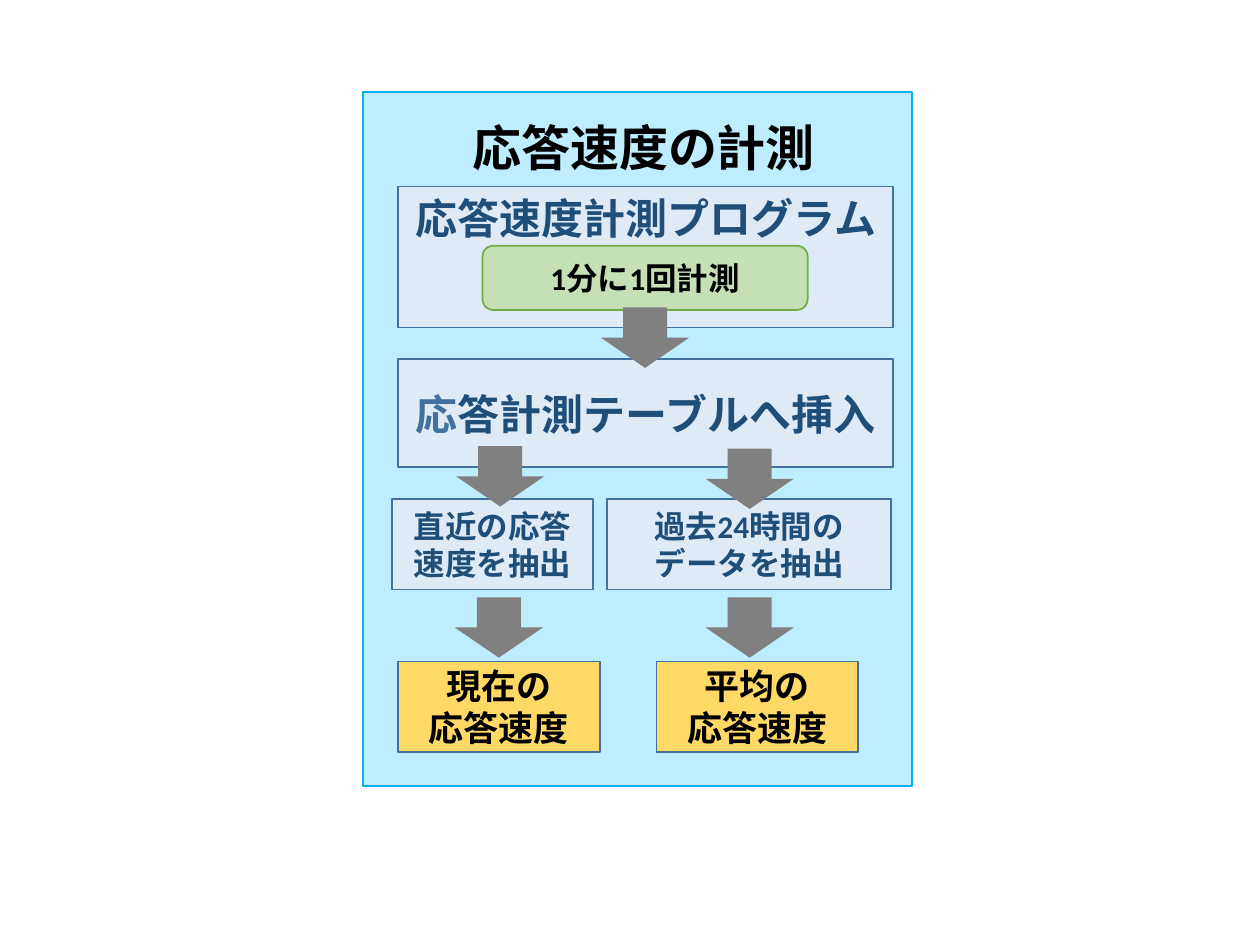
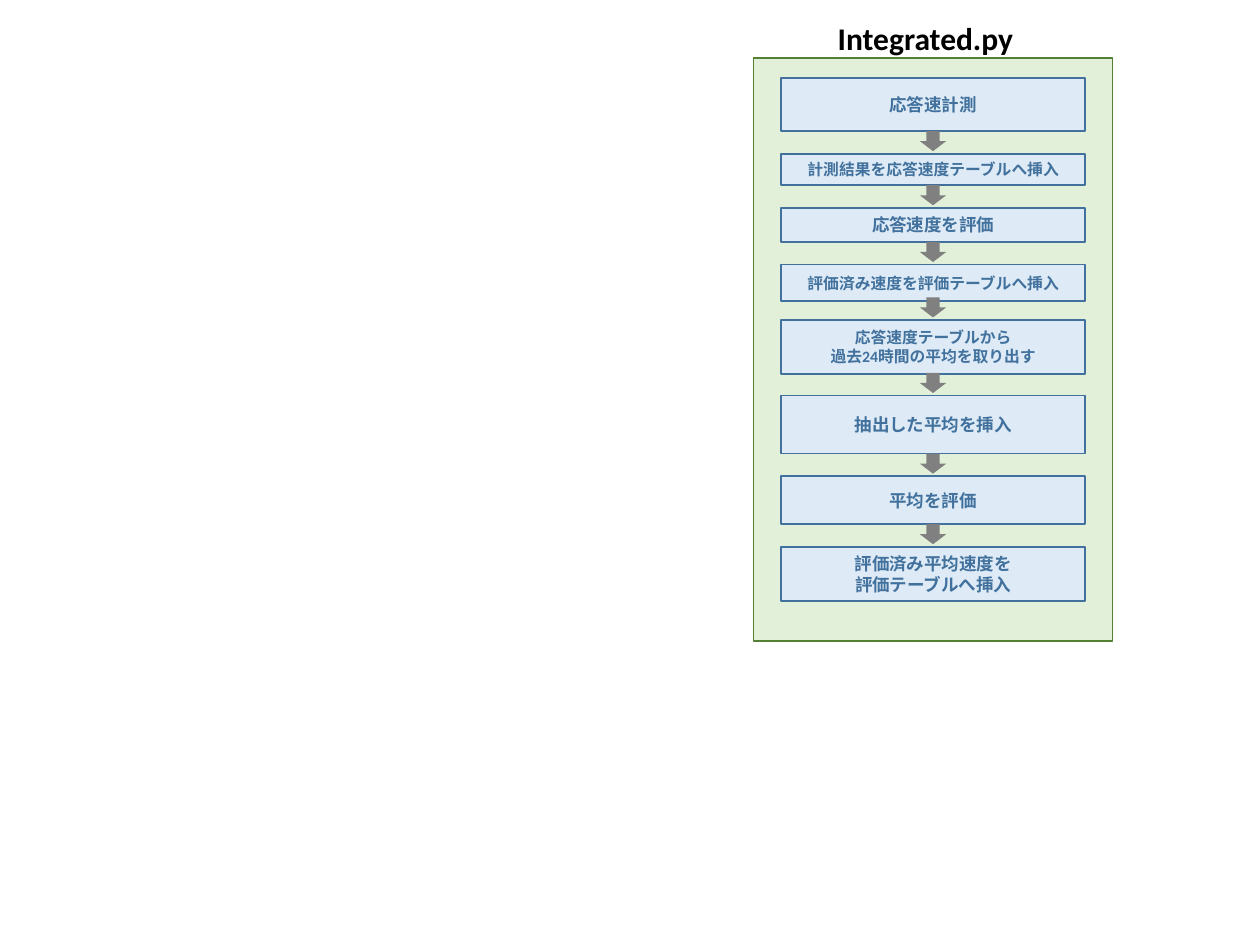
import pptx
import pptx.dml.color
import pptx.enum.shapes
import pptx.enum.text
import pptx.util

RGBColor = pptx.dml.color.RGBColor
SHAPE = pptx.enum.shapes.MSO_SHAPE
ANCHOR = pptx.enum.text.MSO_ANCHOR
ALIGN = pptx.enum.text.PP_ALIGN
AUTO_SIZE = pptx.enum.text.MSO_AUTO_SIZE

BLACK = RGBColor(0x00, 0x00, 0x00)
GREY = RGBColor(0x80, 0x80, 0x80)
NAVY = RGBColor(0x1F, 0x4E, 0x79)
STEEL = RGBColor(0x41, 0x71, 0x9C)
PALE_BLUE = RGBColor(0xDE, 0xEB, 0xF7)
SKY = RGBColor(0xBD, 0xED, 0xFF)
SKY_LINE = RGBColor(0x01, 0xB0, 0xF1)
YELLOW = RGBColor(0xFF, 0xD9, 0x66)
GREEN = RGBColor(0xC5, 0xE0, 0xB4)
GREEN_LINE = RGBColor(0x70, 0xAD, 0x47)
PALE_GREEN = RGBColor(0xE2, 0xF0, 0xD9)
DARK_GREEN = RGBColor(0x53, 0x80, 0x35)

FONT = "Calibri"
PX = 9144  # EMU in one px, 100 px to the inch


class Flowchart:
    """Holds the shared style and the slide being drawn."""

    def __init__(self):
        self.presentation = pptx.Presentation()
        self.presentation.slide_width = 1000 * PX
        self.presentation.slide_height = 750 * PX
        self.slide = None

    def new_slide(self):
        layout = self.presentation.slide_layouts[6]
        self.slide = self.presentation.slides.add_slide(layout)

    def shape(self, kind, place, fill, line=None, weight=1):
        shape = self.slide.shapes.add_shape(kind, *(n * PX for n in place))
        shape.shadow.inherit = False
        shape.fill.solid()
        shape.fill.fore_color.rgb = fill
        if line is None:
            shape.line.fill.background()
        else:
            shape.line.color.rgb = line
            shape.line.width = pptx.util.Pt(weight)
        return shape

    def set_text(self, frame, text, size, color, align):
        frame.text = text
        for paragraph in frame.paragraphs:
            paragraph.alignment = align
            paragraph.font.name = FONT
            paragraph.font.size = pptx.util.Pt(size)
            paragraph.font.bold = True
            paragraph.font.color.rgb = color

    def box(self, place, text, size, color=NAVY, fill=PALE_BLUE, line=STEEL,
            kind=SHAPE.RECTANGLE, anchor=ANCHOR.MIDDLE):
        frame = self.shape(kind, place, fill, line).text_frame
        frame.word_wrap = True
        frame.vertical_anchor = anchor
        self.set_text(frame, text, size, color, ALIGN.CENTER)
        return frame

    def title(self, place, text, size, wrap):
        frame = self.slide.shapes.add_textbox(*(n * PX for n in place)).text_frame
        frame.word_wrap = wrap
        frame.auto_size = AUTO_SIZE.SHAPE_TO_FIT_TEXT
        self.set_text(frame, text, size, BLACK, ALIGN.LEFT)

    def arrow(self, left, top, width, height):
        self.shape(SHAPE.DOWN_ARROW, (left, top, width, height), GREY)


def measurement_slide(chart):
    chart.new_slide()
    chart.shape(SHAPE.RECTANGLE, (288, 73, 436, 551), SKY, SKY_LINE, 1.5)
    chart.title((365, 88, 295, 57), "応答速度の計測", 28, wrap=False)

    # Measuring program and table
    chart.box((316, 148, 393, 112), "応答速度計測プログラム", 24, anchor=ANCHOR.TOP)
    chart.box((383, 195, 258, 51), "1分に1回計測", 18, BLACK, GREEN, GREEN_LINE,
              SHAPE.ROUNDED_RECTANGLE)
    insert_frame = chart.box((316, 285, 393, 86), "応", 24)
    paragraph = insert_frame.paragraphs[0]
    paragraph.runs[0].font.color.rgb = STEEL
    paragraph.add_run().text = "答計測テーブルへ挿入"

    # Extraction and results
    chart.box((311, 396, 160, 72), "直近の応答速度を抽出", 18)
    chart.box((482, 396, 225, 72), "過去24時間の\vデータを抽出", 18)
    for left, text in ((316, "現在の\v応答速度"), (521, "平均の\v応答速度")):
        chart.box((left, 525, 160, 72), text, 20, BLACK, YELLOW)

    # Flow arrows
    for left, top in ((477, 244), (362, 354), (560, 356), (361, 474), (560, 474)):
        chart.arrow(left, top, 70, 48)


def script_slide(chart):
    chart.new_slide()
    chart.shape(SHAPE.RECTANGLE, (598, 46, 285, 463), PALE_GREEN, DARK_GREEN)
    chart.title((655, 10, 171, 40), "Integrated.py", 18, wrap=True)

    # Steps: top, height, text size, text
    steps = (
        (62, 42, 10, "応答速計測"),
        (122, 25, 9, "計測結果を応答速度テーブルへ挿入"),
        (165, 27, 10, "応答速度を評価"),
        (210, 29, 9, "評価済み速度を評価テーブルへ挿入"),
        (254, 43, 9, "応答速度テーブルから\v過去24時間の平均を取り出す"),
        (314, 46, 10, "抽出した平均を挿入"),
        (378, 38, 10, "平均を評価"),
        (434, 43, 10, "評価済み平均速度を\n評価テーブルへ挿入"),
    )
    for top, height, size, text in steps:
        chart.box((620, top, 241, height), text, size, STEEL)

    # An arrow leads into every step after the first
    for top, *_ in steps[1:]:
        chart.arrow(730, top - 18, 21, 16)


def main():
    chart = Flowchart()
    measurement_slide(chart)
    script_slide(chart)
    chart.presentation.save("out.pptx")


if __name__ == "__main__":
    main()
